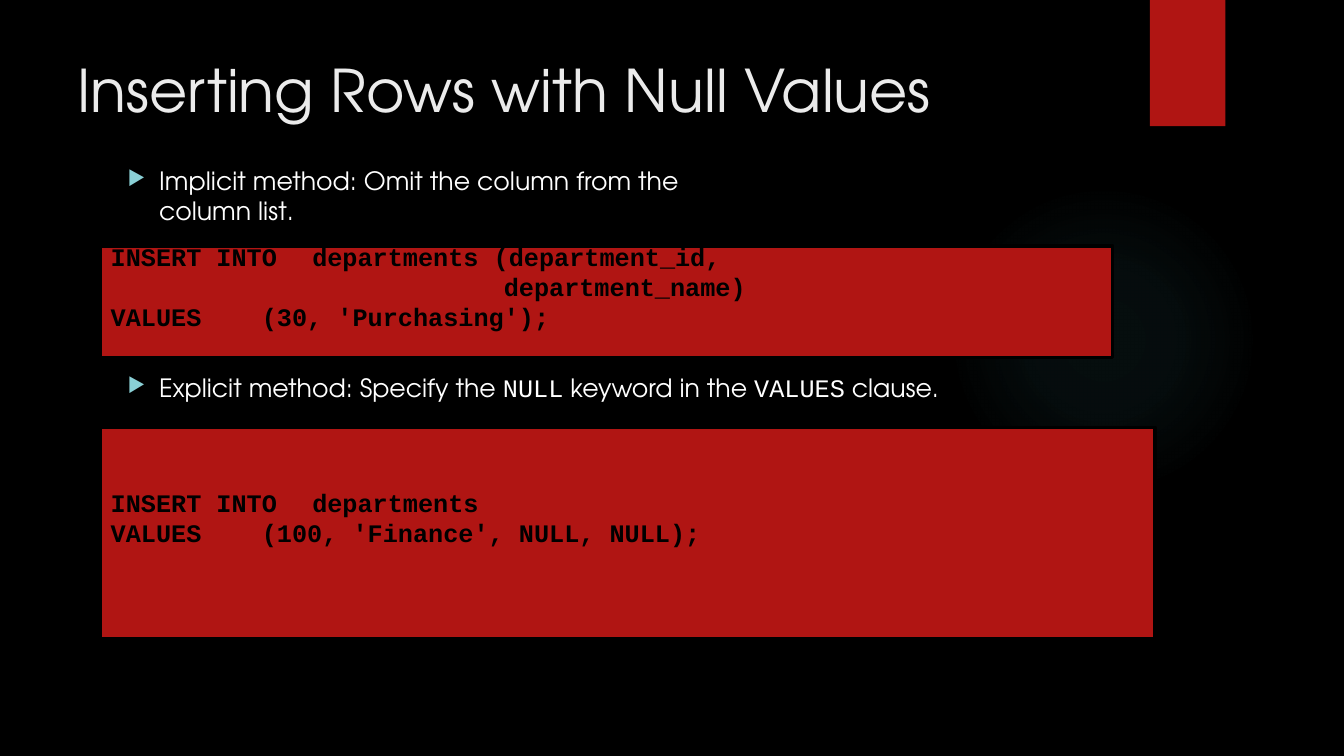
from lxml import etree
from pptx import Presentation
from pptx.dml.color import RGBColor
from pptx.enum.shapes import MSO_SHAPE
from pptx.enum.text import MSO_ANCHOR, PP_ALIGN
from pptx.oxml import parse_xml
from pptx.oxml.ns import nsdecls, qn
from pptx.util import Cm, Pt

RECT, OVAL = MSO_SHAPE.RECTANGLE, MSO_SHAPE.OVAL
TOP, MIDDLE = MSO_ANCHOR.TOP, MSO_ANCHOR.MIDDLE
LEFT = PP_ALIGN.LEFT
SANS, MONO = "TeX Gyre Adventor", "Courier New"
BLACK, WHITE, RED = "000000", "FFFFFF", "B01513"
TITLE, BULLET, GLOW = "EBEBEB", "8AD0D6", "50B9C1"


def rgb(value):
    return RGBColor.from_string(value)


def add_run(p, text, size=18, font=SANS, color=WHITE, bold=False):
    r = p.add_run()
    r.text = text
    r.font.size, r.font.name, r.font.bold = Pt(size), font, bold
    r.font.color.rgb = rgb(color)


def add_rect(s, left, top, width, height, line=None):
    sp = s.shapes.add_shape(RECT, Cm(left), Cm(top), Cm(width), Cm(height))
    sp.shadow.inherit = False
    sp.fill.solid()
    sp.fill.fore_color.rgb = rgb(RED)
    if line:
        sp.line.color.rgb = rgb(line)
        sp.line.width = Pt(2.25)
    else:
        sp.line.fill.background()
    return sp


def add_glow(s, left, top, size):
    sp = s.shapes.add_shape(OVAL, Cm(left), Cm(top), Cm(size), Cm(size))
    sp.shadow.inherit = False
    sp.line.fill.background()
    stops = "".join(
        f'<a:gs pos="{pos * 1000}"><a:srgbClr val="{GLOW}">'
        f'<a:alpha val="{alpha * 1000}"/></a:srgbClr></a:gs>'
        for pos, alpha in ((0, 7), (36, 6), (69, 0)))
    gradient = parse_xml(
        f'<a:gradFill {nsdecls("a")} rotWithShape="1"><a:gsLst>{stops}</a:gsLst>'
        '<a:path path="circle"><a:fillToRect l="50000" t="50000" r="50000" b="50000"/>'
        '</a:path></a:gradFill>')
    sp.element.spPr.find(qn("a:prstGeom")).addnext(gradient)


def add_code(s, left, top, width, height, lines):
    tf = add_rect(s, left, top, width, height, line=BLACK).text_frame
    tf.word_wrap = True
    tf.vertical_anchor = MIDDLE
    tf.margin_top, tf.margin_bottom = 0, Cm(0.78)
    for i, line in enumerate(lines):
        p = tf.paragraphs[0] if i == 0 else tf.add_paragraph()
        p.alignment = LEFT
        add_run(p, line, font=MONO, color=BLACK, bold=True)


def set_bullet(p):
    pPr = p._p.get_or_add_pPr()
    pPr.set("marL", str(Cm(2.06)))
    pPr.set("indent", str(-Cm(0.79)))
    color = etree.SubElement(pPr, qn("a:buClr"))
    etree.SubElement(color, qn("a:srgbClr"), val=BULLET)
    etree.SubElement(pPr, qn("a:buSzPct"), val="80000")
    etree.SubElement(pPr, qn("a:buChar"), char="▶")


def add_methods(s, left, top, width, height):
    tf = s.shapes.add_textbox(Cm(left), Cm(top), Cm(width), Cm(height)).text_frame
    tf.word_wrap = True
    implicit, explicit = tf.paragraphs[0], tf.add_paragraph()
    for p in (implicit, explicit):
        set_bullet(p)
    add_run(implicit, "Implicit method: Omit the column from the")
    implicit.add_line_break()
    add_run(implicit, "column list.")
    explicit.space_before = Pt(105)
    for text, font in (("Explicit method: Specify the ", SANS), ("NULL", MONO),
                       (" keyword in the ", SANS), ("VALUES", MONO),
                       (" clause.", SANS)):
        add_run(explicit, text, font=font)


def set_title(s, text, left, top, width, height):
    title = s.shapes.title
    title.left, title.top, title.width, title.height = map(Cm, (left, top, width, height))
    tf = title.text_frame
    tf.word_wrap = True
    tf.vertical_anchor = TOP
    p = tf.paragraphs[0]
    p.alignment = LEFT
    add_run(p, text, size=42, color=TITLE)


def main():
    prs = Presentation()
    prs.slide_width, prs.slide_height = Cm(33.87), Cm(19.05)
    s = prs.slides.add_slide(prs.slide_layouts[5])
    s.background.fill.solid()
    s.background.fill.fore_color.rgb = rgb(BLACK)
    set_title(s, "Inserting Rows with Null Values", 1.7, 1.22, 27.33, 4.7)
    add_glow(s, 23.9, 4.65, 7.82)
    add_rect(s, 28.98, 0, 1.9, 3.18)
    add_methods(s, 1.7, 4.04, 27.33, 14.1)
    add_code(s, 2.54, 10.77, 26.57, 5.33, [
        "INSERT INTO\tdepartments",
        "VALUES\t\t(100, 'Finance', NULL, NULL);"])
    add_code(s, 2.54, 6.2, 25.5, 2.82, [
        "INSERT INTO\tdepartments (department_id,",
        "                          department_name)",
        "VALUES\t\t(30, 'Purchasing');"])
    prs.save("out.pptx")


if __name__ == "__main__":
    main()
